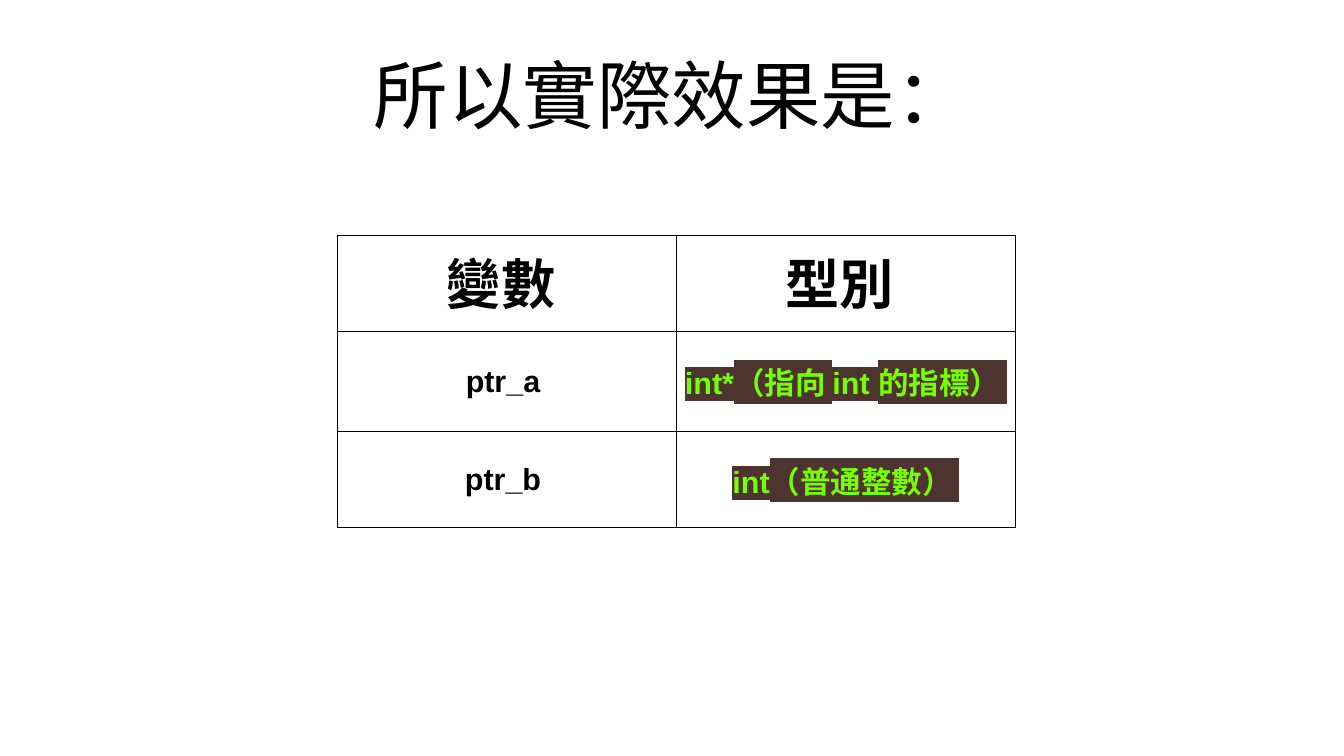
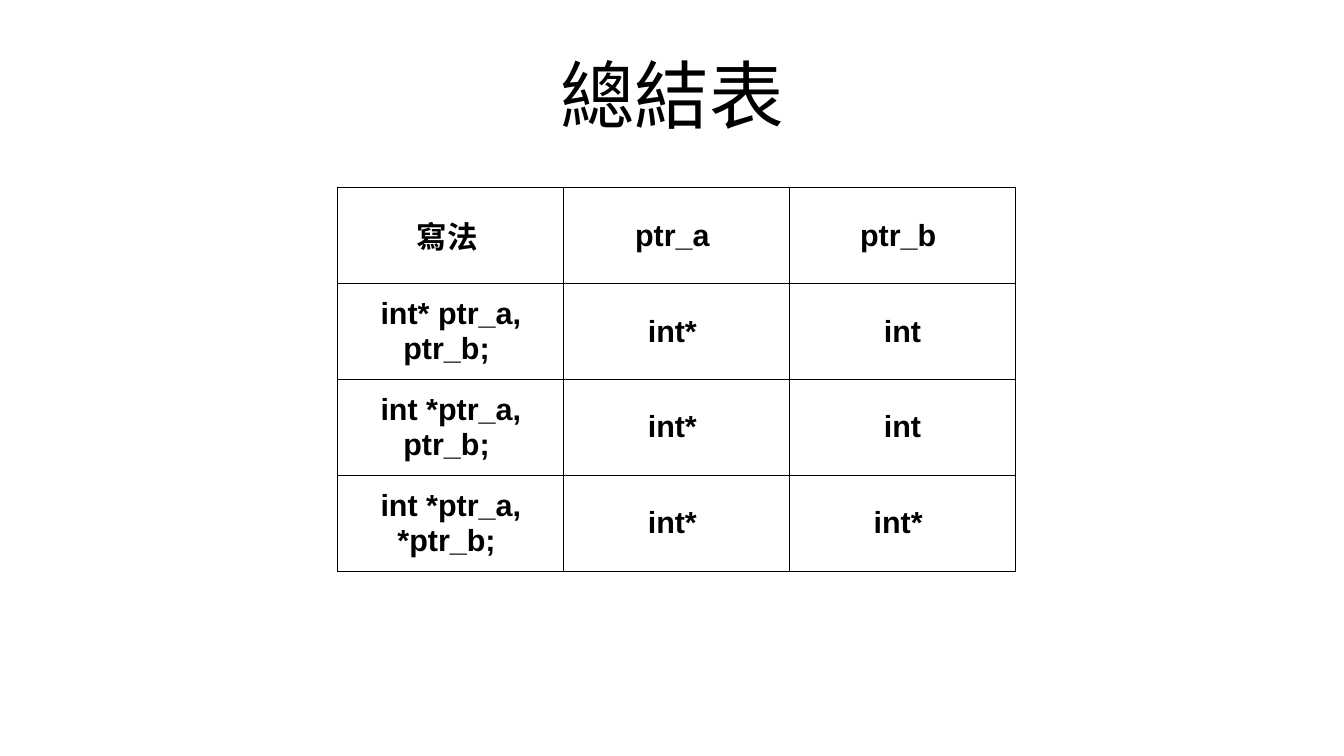
from lxml.etree import SubElement
from pptx import Presentation
from pptx.dml.color import RGBColor
from pptx.enum.text import MSO_ANCHOR, MSO_AUTO_SIZE, PP_ALIGN
from pptx.oxml.ns import qn
from pptx.util import Pt

BLACK = RGBColor(0x00, 0x00, 0x00)
LIME = RGBColor(0x76, 0xFF, 0x03)
BROWN = RGBColor(0x4E, 0x34, 0x2E)
FONT = "Arial"

SLIDE_W, SLIDE_H = Pt(793.5), Pt(446.5)
TITLE_BOX = Pt(39.6), Pt(18), Pt(714.2), Pt(74.7)
TABLE_LEFT, TABLE_W, ROW_H = Pt(199.5), Pt(400), Pt(56.7)
PAD_X, PAD_Y = Pt(2.9), Pt(3.6)
BORDER_W = Pt(0.57)

HEADER = {"size": 32, "anchor": MSO_ANCHOR.TOP}
MARKED = {"color": LIME, "highlight": BROWN}

TYPE_ROWS = [
    [("變數 ", HEADER), ("型別 ", HEADER)],
    [("ptr_a ", {}), ("int*（指向 int 的指標） ", MARKED)],
    [("ptr_b ", {}), ("int（普通整數） ", MARKED)],
]
SUMMARY_ROWS = [
    [(text, {}) for text in row]
    for row in (
        ("寫法 ", "ptr_a ", "ptr_b "),
        ("int* ptr_a, ptr_b; ", "int* ", "int"),
        ("int *ptr_a, ptr_b; ", "int* ", "int"),
        ("int *ptr_a, *ptr_b; ", "int* ", "int* "),
    )
]


def add_solid_fill(parent, color):
    """Append a solid fill of the given colour to an XML element."""
    fill = SubElement(parent, qn("a:solidFill"))
    SubElement(fill, qn("a:srgbClr"), val=str(color))


def set_highlight(r, color):
    """Mark a coloured run with a background colour."""
    rPr = r._r.get_or_add_rPr()
    mark = SubElement(rPr, qn("a:highlight"))
    SubElement(mark, qn("a:srgbClr"), val=str(color))
    rPr.find(qn("a:solidFill")).addnext(mark)


def set_text(tf, text, size=18, bold=False, color=BLACK, highlight=None):
    """Write one centred, formatted paragraph."""
    p = tf.paragraphs[0]
    p.alignment = PP_ALIGN.CENTER
    r = p.add_run()
    r.text = text
    r.font.name = FONT
    r.font.size = Pt(size)
    r.font.bold = bold
    r.font.color.rgb = color
    if highlight is not None:
        set_highlight(r, highlight)


def set_borders(cell):
    """Draw a thin black line on all four sides of a cell."""
    tcPr = cell._tc.get_or_add_tcPr()
    for side in ("lnL", "lnR", "lnT", "lnB"):
        ln = SubElement(tcPr, qn("a:" + side), w=str(BORDER_W))
        add_solid_fill(ln, BLACK)


def fill_cell(cell, text, anchor=MSO_ANCHOR.MIDDLE, **fmt):
    """Format one table cell and write its text."""
    cell.margin_left = cell.margin_right = PAD_X
    cell.margin_top = cell.margin_bottom = PAD_Y
    cell.vertical_anchor = anchor
    set_borders(cell)
    cell.fill.background()
    set_text(cell.text_frame, text, bold=True, **fmt)


def add_grid(s, rows, top):
    """Add a bordered table with equal columns and rows."""
    n_rows, n_cols = len(rows), len(rows[0])
    frame = s.shapes.add_table(n_rows, n_cols, TABLE_LEFT, top,
                               TABLE_W, ROW_H * n_rows)
    table = frame.table
    table.first_row = table.horz_banding = False
    for row in table.rows:
        row.height = ROW_H
    for i, row in enumerate(rows):
        for j, (text, fmt) in enumerate(row):
            fill_cell(table.cell(i, j), text, **fmt)


def add_titled_slide(prs, title):
    """Add a title-only slide with the shared title style."""
    s = prs.slides.add_slide(prs.slide_layouts[5])
    sp = s.shapes.title
    sp.left, sp.top, sp.width, sp.height = TITLE_BOX
    tf = sp.text_frame
    tf.margin_left = tf.margin_right = tf.margin_top = tf.margin_bottom = 0
    tf.vertical_anchor = MSO_ANCHOR.MIDDLE
    tf.word_wrap = True
    tf.auto_size = MSO_AUTO_SIZE.NONE
    set_text(tf, title, size=44)
    return s


def main():
    """Build and save the two slides."""
    prs = Presentation()
    prs.slide_width, prs.slide_height = SLIDE_W, SLIDE_H
    for title, rows, top in (
        ("所以實際效果是：", TYPE_ROWS, Pt(139)),
        ("總結表", SUMMARY_ROWS, Pt(110.7)),
    ):
        add_grid(add_titled_slide(prs, title), rows, top)
    prs.save("out.pptx")


main()
